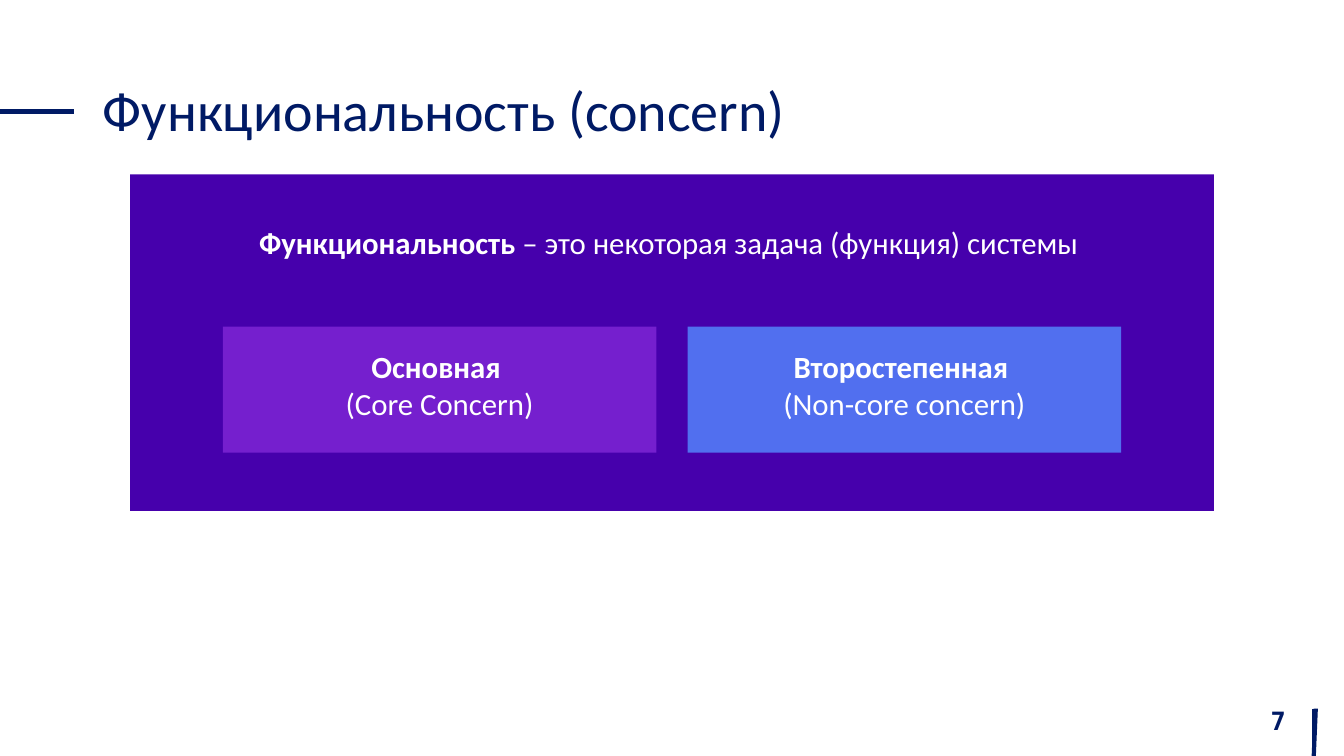
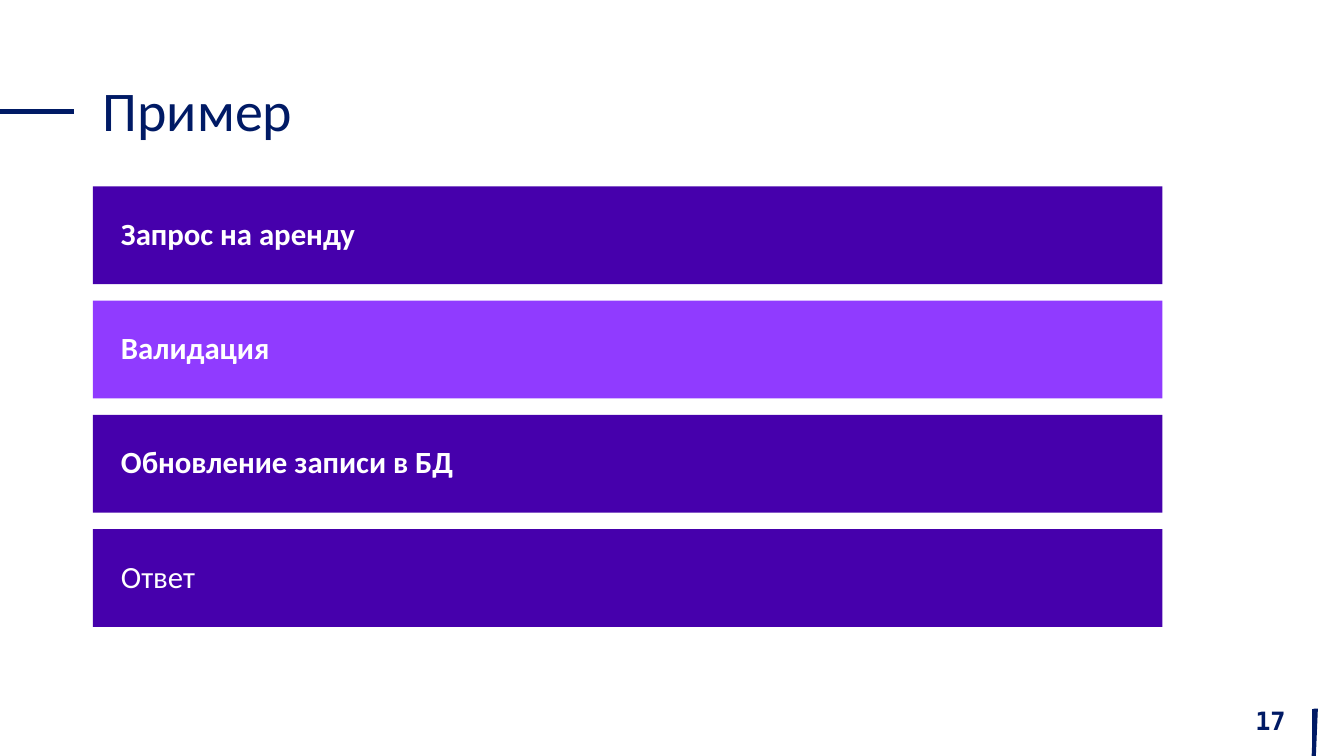
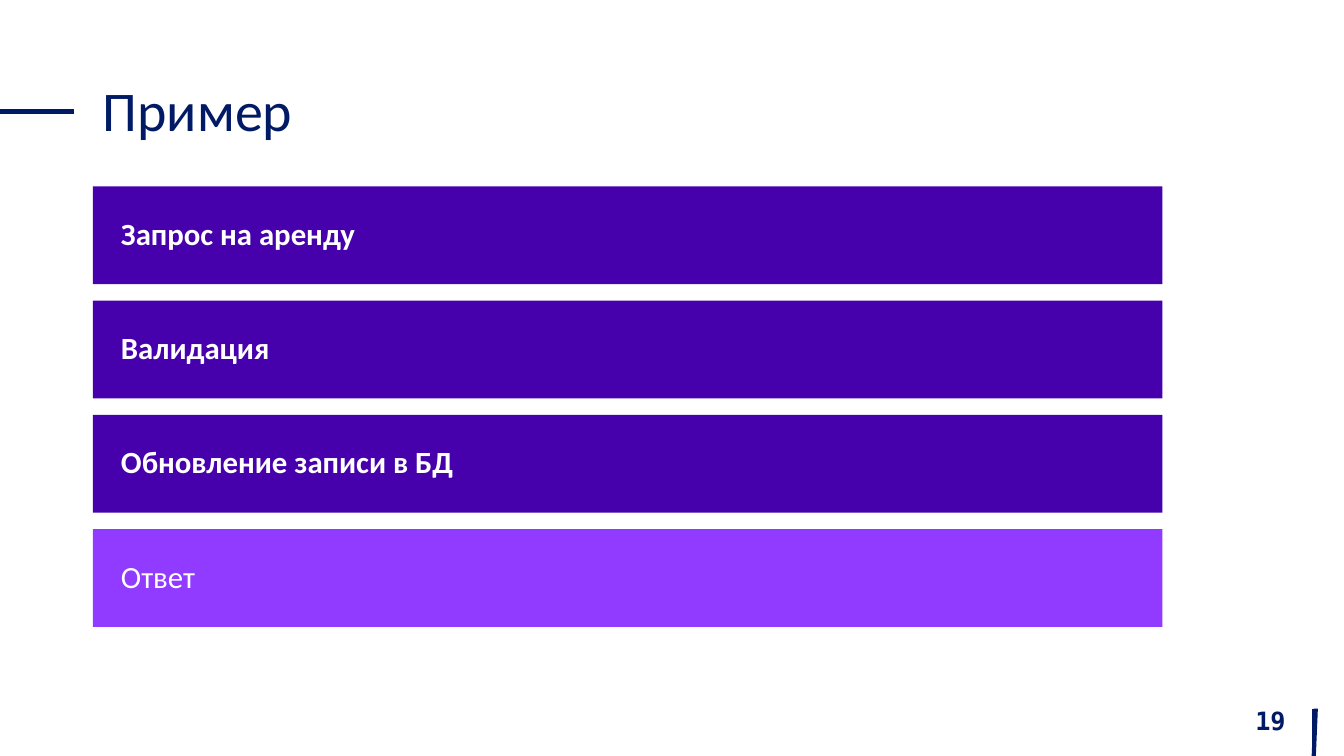
from lxml import etree
from pptx import Presentation
from pptx.dml.color import RGBColor
from pptx.enum.shapes import MSO_CONNECTOR, MSO_SHAPE
from pptx.enum.text import MSO_ANCHOR, PP_ALIGN
from pptx.oxml.ns import qn
from pptx.util import Inches, Pt

STRAIGHT = MSO_CONNECTOR.STRAIGHT
RECTANGLE = MSO_SHAPE.RECTANGLE
TOP, MIDDLE = MSO_ANCHOR.TOP, MSO_ANCHOR.MIDDLE
LEFT, CENTER, RIGHT = PP_ALIGN.LEFT, PP_ALIGN.CENTER, PP_ALIGN.RIGHT

NAVY = RGBColor(0x00, 0x1A, 0x65)
INDIGO = RGBColor(0x46, 0x00, 0xAC)
PURPLE = RGBColor(0x75, 0x1F, 0xCE)
BLUE = RGBColor(0x51, 0x6F, 0xEF)
VIOLET = RGBColor(0x90, 0x3B, 0xFF)
WHITE = RGBColor(0xFF, 0xFF, 0xFF)

BODY_FONT = "Calibri"
NUMBER_FONT = "DejaVu Sans Mono"
TITLE_ONLY = 5
TITLE_BOX = (0.92, 0.4, 11.5, 1.45)
NUMBER_BOX = (9.85, 6.95, 3, 0.4)
ACCENT_LINES = [
    (13.05, 7.03, 13.03, 7.5),
    (13.03, 7.03, 13.03, 7.5),
    (0, 1.1, 0.73, 1.1),
    (0, 1.11, 0.73, 1.11),
]

STEPS = [
    ("Запрос на аренду", True),
    ("Валидация", True),
    ("Обновление записи в БД", True),
    ("Ответ", False),
]
STEP_LEFT, STEP_WIDTH, STEP_HEIGHT = 0.92, 10.61, 0.97
FIRST_STEP_TOP, LAST_STEP_TOP = 1.85, 5.25

CONCERNS = [
    ("Основная ", "(Core Concern)", PURPLE),
    ("Второстепенная ", "(Non-core concern)", BLUE),
]
CONCERN_LEFT, CONCERN_TOP = 2.21, 3.24
CONCERN_WIDTH, CONCERN_HEIGHT, CONCERN_GAP = 4.3, 1.25, 0.31


def write_text(shape, paragraphs, size=22, color=WHITE, font=BODY_FONT,
               align=LEFT, anchor=TOP, inset=None, line_spacing=None):
    """Fill a shape with paragraphs, each a list of (text, bold) runs."""
    frame = shape.text_frame
    frame.word_wrap = True
    frame.vertical_anchor = anchor
    if inset is not None:
        frame.margin_left = frame.margin_right = Inches(inset)
        frame.margin_top = frame.margin_bottom = Inches(inset)
    for index, runs in enumerate(paragraphs):
        paragraph = frame.add_paragraph() if index else frame.paragraphs[0]
        paragraph.alignment = align
        if line_spacing:
            paragraph.line_spacing = line_spacing
        for text, bold in runs:
            run = paragraph.add_run()
            run.text = text
            run.font.name = font
            run.font.size = Pt(size)
            run.font.bold = bold
            run.font.color.rgb = color


def add_block(slide, box, fill, paragraphs, inset, align=LEFT):
    """Add a flat filled rectangle with text."""
    shape = slide.shapes.add_shape(RECTANGLE, *map(Inches, box))
    shape.shadow.inherit = False
    shape.fill.solid()
    shape.fill.fore_color.rgb = fill
    shape.line.fill.background()
    write_text(shape, paragraphs, inset=inset, align=align)


def add_line(slide, ends):
    """Add an accent line and return it."""
    line = slide.shapes.add_connector(STRAIGHT, *map(Inches, ends))
    line.line.color.rgb = NAVY
    line.line.width = Pt(3)
    etree.SubElement(line.element.spPr, qn("a:effectLst"))
    return line


def prepare_layout(layout, slide):
    """Place the title and move the shared accent lines onto the layout."""
    title = next(shape for shape in layout.placeholders
                 if shape.placeholder_format.idx == 0)
    title.left, title.top, title.width, title.height = map(Inches, TITLE_BOX)
    next_id = max(shape.shape_id for shape in layout.shapes) + 1
    for shape_id, ends in enumerate(ACCENT_LINES, next_id):
        element = add_line(slide, ends).element
        element.nvCxnSpPr.cNvPr.set("id", str(shape_id))
        layout.shapes.element.append(element)


def start_slide(slide, title, number):
    """Write the title and the slide number."""
    write_text(slide.shapes.title, [[(title, False)]], size=40, color=NAVY,
               anchor=MIDDLE, line_spacing=0.9)
    number_box = slide.shapes.add_textbox(*map(Inches, NUMBER_BOX))
    write_text(number_box, [[(str(number), True)]], size=18, color=NAVY,
               font=NUMBER_FONT, align=RIGHT, anchor=MIDDLE)


def build_concern_slide(slide):
    """Define a concern and show its two kinds."""
    start_slide(slide, "Функциональность (concern)", 7)
    definition = [("Функциональность ", True),
                  ("– это некоторая задача (функция) системы ", False)]
    add_block(slide, (1.29, 1.73, 10.75, 3.34), INDIGO, [definition],
              inset=0.49, align=CENTER)
    for index, (name, english, fill) in enumerate(CONCERNS):
        left = CONCERN_LEFT + index * (CONCERN_WIDTH + CONCERN_GAP)
        add_block(slide, (left, CONCERN_TOP, CONCERN_WIDTH, CONCERN_HEIGHT),
                  fill, [[(name, True)], [(english, False)]],
                  inset=0.21, align=CENTER)


def build_step_slide(slide, number, active):
    """Show the request steps with the active one highlighted."""
    start_slide(slide, "Пример", number)
    pitch = (LAST_STEP_TOP - FIRST_STEP_TOP) / (len(STEPS) - 1)
    for index, step in enumerate(STEPS):
        box = (STEP_LEFT, FIRST_STEP_TOP + index * pitch,
               STEP_WIDTH, STEP_HEIGHT)
        fill = VIOLET if step[0] == active else INDIGO
        add_block(slide, box, fill, [[step]], inset=0.28)


def main():
    """Build and save the presentation."""
    presentation = Presentation()
    presentation.slide_width = Inches(13.33)
    presentation.slide_height = Inches(7.5)
    layout = presentation.slide_layouts[TITLE_ONLY]
    slides = [presentation.slides.add_slide(layout) for _ in range(3)]
    prepare_layout(layout, slides[0])
    build_concern_slide(slides[0])
    build_step_slide(slides[1], 17, "Валидация")
    build_step_slide(slides[2], 19, "Ответ")
    presentation.save("out.pptx")


if __name__ == "__main__":
    main()
